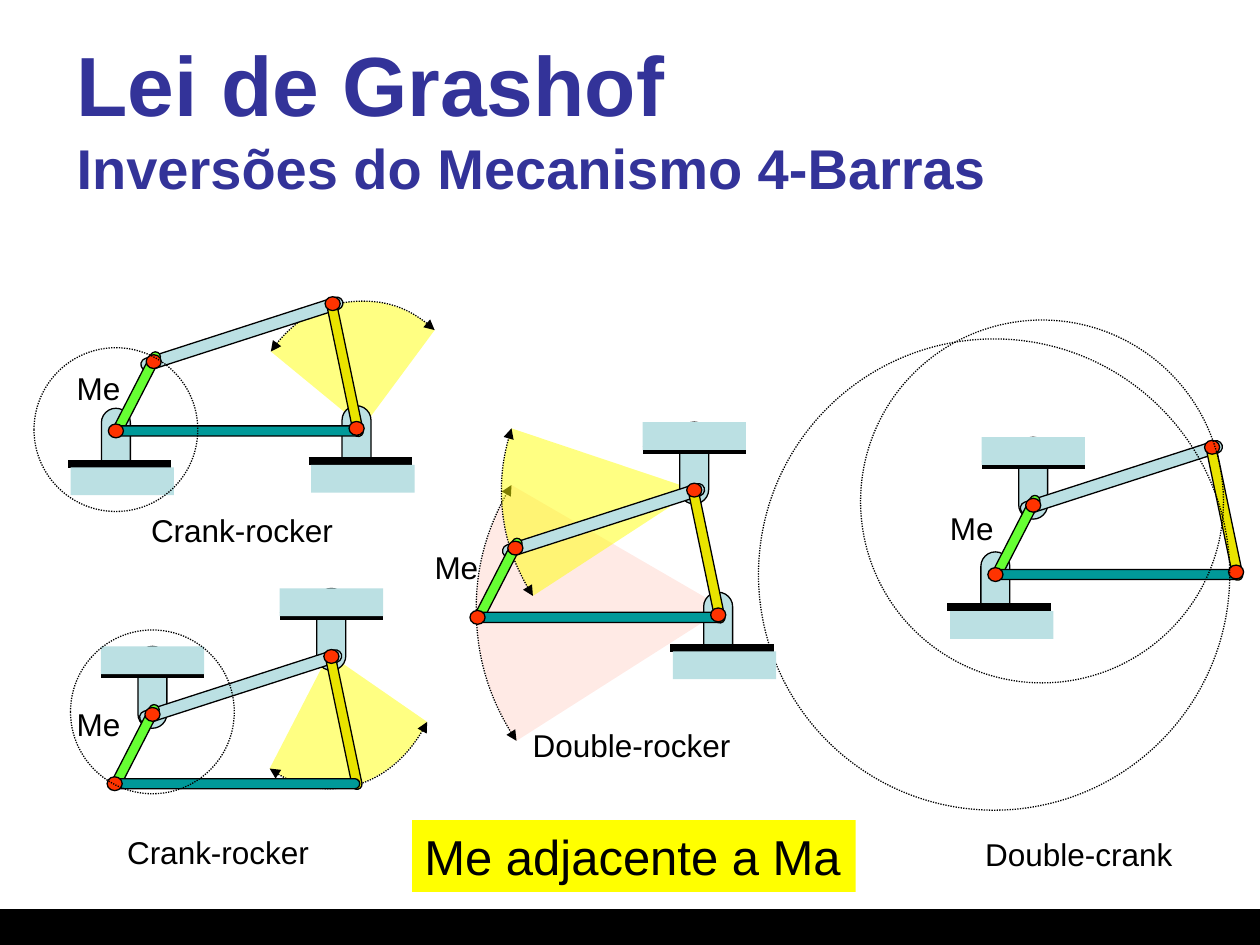
from lxml import etree
from pptx import Presentation, util as u
from pptx.dml.color import RGBColor
from pptx.enum import dml, shapes, text
from pptx.oxml.ns import qn

FONT = "Arial"
BLACK, BLUE, STEEL, RED, YELLOW = "000000", "333399", "BBE0E3", "FF3300", "FFFF00"
TITLE = [("Lei de Grashof", 48), ("Inversões do Mecanismo 4-Barras", 32)]

# The same linkage in every inversion, measured from its lower left joint
JOINTS = {"A": (0, 0), "B": (0.3, -0.55), "C": (1.72, -1.01), "D": (1.91, -0.02)}
# name: (centre, width, length, rotation, colour)
BARS = {
    "coupler": ((1, -0.77), 0.1, 1.68, 72.1, STEEL),
    "crank": ((0.16, -0.29), 0.08, 0.75, 207.2, "66FF33"),
    "rocker": ((1.82, -0.49), 0.08, 1.09, 348.2, "E9E400"),
    "base": ((0.96, 0), 0.08, 1.97, 90, "009999"),
}

# sector: (colour, opacity %, start, two Bezier segments, apex)
# circle: (centre x, centre y, diameter)
MECHANISMS = [
    dict(origin=(7.9, 4.56), hanging="B", standing="A", pins="CBDA",
         sectors=[], circles=[(8.27, 3.98, 2.88), (7.89, 4.56, 3.74)],
         labels=[("Double-crank", 7.72, 6.58, 1.69), ("Me", 7.44, 3.99, 0.55)]),
    dict(origin=(0.92, 3.42), hanging="", standing="AD", pins="CBAD",
         sectors=[(YELLOW, 49, (2.15, 2.79),
                   [[(2.32, 2.54), (2.59, 2.39), (2.88, 2.39)],
                    [(3.09, 2.39), (3.29, 2.47), (3.45, 2.62)]], (2.88, 3.39))],
         circles=[(0.92, 3.41, 1.3)],
         labels=[("Crank-rocker", 1.1, 4.01, 1.65), ("Me", 0.51, 2.88, 0.55)]),
    dict(origin=(0.91, 6.22), hanging="CB", standing="", pins="CBA",
         sectors=[(YELLOW, 49, (3.39, 5.73),
                   [[(3.23, 6.05), (2.93, 6.26), (2.61, 6.26)],
                    [(2.45, 6.26), (2.28, 6.2), (2.14, 6.1)]], (2.61, 5.19))],
         circles=[(1.21, 5.65, 1.3)],
         labels=[("Crank-rocker", 0.91, 6.56, 1.65), ("Me", 0.51, 5.55, 0.55)]),
    dict(origin=(3.79, 4.9), hanging="C", standing="D", pins="CBDA",
         sectors=[(RED, 10, (4.1, 5.88),
                   [[(3.89, 5.57), (3.78, 5.2), (3.78, 4.83)],
                    [(3.78, 4.49), (3.88, 4.15), (4.06, 3.85)]], (5.75, 4.83)),
                  (YELLOW, 49, (4.23, 4.73),
                   [[(4.07, 4.48), (3.98, 4.19), (3.98, 3.89)],
                    [(3.98, 3.73), (4.01, 3.56), (4.06, 3.4)]], (5.52, 3.89))],
         circles=[],
         labels=[("Double-rocker", 4.13, 5.71, 1.77), ("Me", 3.35, 4.3, 0.55)]),
]


def rgb(value):
    return RGBColor.from_string(value)


def style(shape, fill=None, line=None, dotted=False):
    shape.shadow.inherit = False
    if fill:
        shape.fill.solid()
        shape.fill.fore_color.rgb = rgb(fill)
    else:
        shape.fill.background()
    if line:
        shape.line.color.rgb = rgb(line)
        shape.line.width = u.Pt(0.75)
        if dotted:
            shape.line.dash_style = dml.MSO_LINE.ROUND_DOT
    else:
        shape.line.fill.background()


def add_shape(target, kind, left, top, width, height, **look):
    shape = target.shapes.add_shape(kind, *map(u.Inches, (left, top, width, height)))
    style(shape, **look)
    return shape


def add_centred(target, kind, centre, width, height, **look):
    x, y = centre
    return add_shape(target, kind, x - width / 2, y - height / 2, width, height, **look)


def add_bar(target, centre, width, length, rotation, colour):
    bar = add_centred(target, shapes.MSO_SHAPE.ROUNDED_RECTANGLE, centre,
                      width, length, fill=colour, line=BLACK)
    bar.adjustments[0] = 0.5
    bar.rotation = rotation


def add_support(target, joint, hanging):
    """Ground bearing: rounded post, thick ground line and block."""
    x, y = joint
    post, ground, block, left = ((-0.54, -0.32, -0.54, -0.41) if hanging
                                 else (-0.18, 0.26, 0.29, -0.38))
    add_bar(target, (x, y + post + 0.325), 0.23, 0.65, 0, STEEL)
    ends = x + left, y + ground, x + left + 0.82, y + ground
    line = target.shapes.add_connector(shapes.MSO_CONNECTOR.STRAIGHT, *map(u.Inches, ends))
    line.line.color.rgb = rgb(BLACK)
    line.line.width = u.Pt(4.5)
    etree.SubElement(line.element.spPr, qn("a:effectLst"))
    block_left = x + left + (0 if hanging else 0.02)
    add_shape(target, shapes.MSO_SHAPE.RECTANGLE, block_left, y + block, 0.82, 0.22, fill=STEEL)


def add_sector(target, colour, opacity, start, curves, apex):
    """Translucent swept sector whose dotted arc has an arrowhead at each end."""
    corners = [[u.Inches(v) for v in point]
               for point in (start, curves[0][-1], curves[1][-1], apex)]
    builder = target.shapes.build_freeform(*corners[0])
    builder.add_line_segments(corners[1:], close=True)
    sector = builder.convert_to_shape()
    style(sector, fill=colour, line=BLACK, dotted=True)
    properties = sector.element.spPr
    tint = properties.find(qn("a:solidFill")).find(qn("a:srgbClr"))
    etree.SubElement(tint, qn("a:alpha"), val=str(opacity * 1000))
    for end in ("a:headEnd", "a:tailEnd"):
        etree.SubElement(properties.find(qn("a:ln")), qn(end), type="triangle")

    outlines = next(properties.iter(qn("a:pathLst")))
    for old in list(outlines):
        outlines.remove(old)
    size = dict(w=str(sector.width), h=str(sector.height))

    def add_step(outline, name, points):
        step = etree.SubElement(outline, qn(name))
        for x, y in points:
            etree.SubElement(step, qn("a:pt"), x=str(u.Inches(x) - sector.left),
                             y=str(u.Inches(y) - sector.top))

    for options in (dict(fill="none"), dict(stroke="0")):
        outline = etree.SubElement(outlines, qn("a:path"), **size, **options)
        add_step(outline, "a:moveTo", [start])
        for curve in curves:
            add_step(outline, "a:cubicBezTo", curve)
        if "stroke" in options:
            add_step(outline, "a:lnTo", [apex])
            add_step(outline, "a:close", [])


def add_label(target, words, left, top, width, height=0.4, size=18):
    box = target.shapes.add_textbox(*map(u.Inches, (left, top, width, height)))
    box.text_frame.word_wrap = False
    paragraph = box.text_frame.paragraphs[0]
    paragraph.text = words
    paragraph.font.name, paragraph.font.size = FONT, u.Pt(size)
    paragraph.font.color.rgb = rgb(BLACK)
    return box


def add_title(page):
    box = page.shapes.add_textbox(*map(u.Inches, (0.51, 0.3, 9.21, 1.25)))
    box.text_frame.word_wrap = True
    box.text_frame.vertical_anchor = text.MSO_ANCHOR.MIDDLE
    paragraph = box.text_frame.paragraphs[0]
    paragraph.font.name, paragraph.font.bold = FONT, True
    for index, (words, size) in enumerate(TITLE):
        if index:
            paragraph.add_line_break()
        span = paragraph.add_run()
        span.text = words
        span.font.name, span.font.size, span.font.bold = FONT, u.Pt(size), True
        span.font.color.rgb = rgb(BLUE)


def add_mechanism(page, origin, hanging, standing, pins, sectors, circles, labels):
    group = page.shapes.add_group_shape()

    def place(offset):
        return origin[0] + offset[0], origin[1] + offset[1]

    for sector in sectors:
        add_sector(group, *sector)
    for name in hanging + standing:
        add_support(group, place(JOINTS[name]), name in hanging)
    for centre, *bar in BARS.values():
        add_bar(group, place(centre), *bar)
    for name in pins:
        add_centred(group, shapes.MSO_SHAPE.OVAL, place(JOINTS[name]), 0.12, 0.11,
                    fill=RED, line=BLACK)
    for x, y, diameter in circles:
        add_centred(group, shapes.MSO_SHAPE.OVAL, (x, y), diameter, diameter,
                    line=BLACK, dotted=True)
    for label in labels:
        add_label(group, *label)


def main():
    deck = Presentation()
    deck.slide_width, deck.slide_height = u.Inches(10), u.Inches(7.5)
    page = deck.slides.add_slide(deck.slide_layouts[6])
    add_shape(page, shapes.MSO_SHAPE.RECTANGLE, 0, 7.22, 10, 0.28, fill=BLACK, line=BLACK)
    add_title(page)
    for mechanism in MECHANISMS:
        add_mechanism(page, **mechanism)
    banner = add_label(page, "Me adjacente a Ma", 3.27, 6.51, 3.52, 0.57, 28)
    banner.fill.solid()
    banner.fill.fore_color.rgb = rgb(YELLOW)
    deck.save("out.pptx")


if __name__ == "__main__":
    main()
